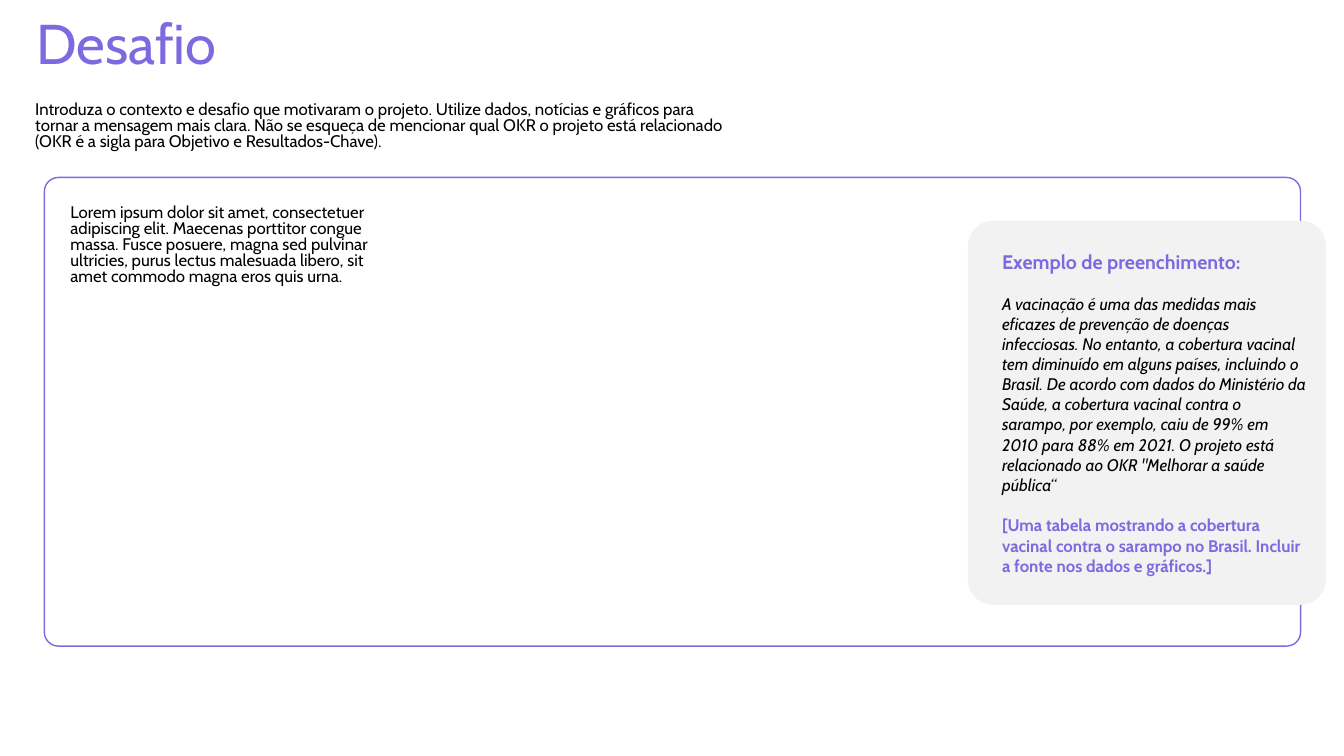
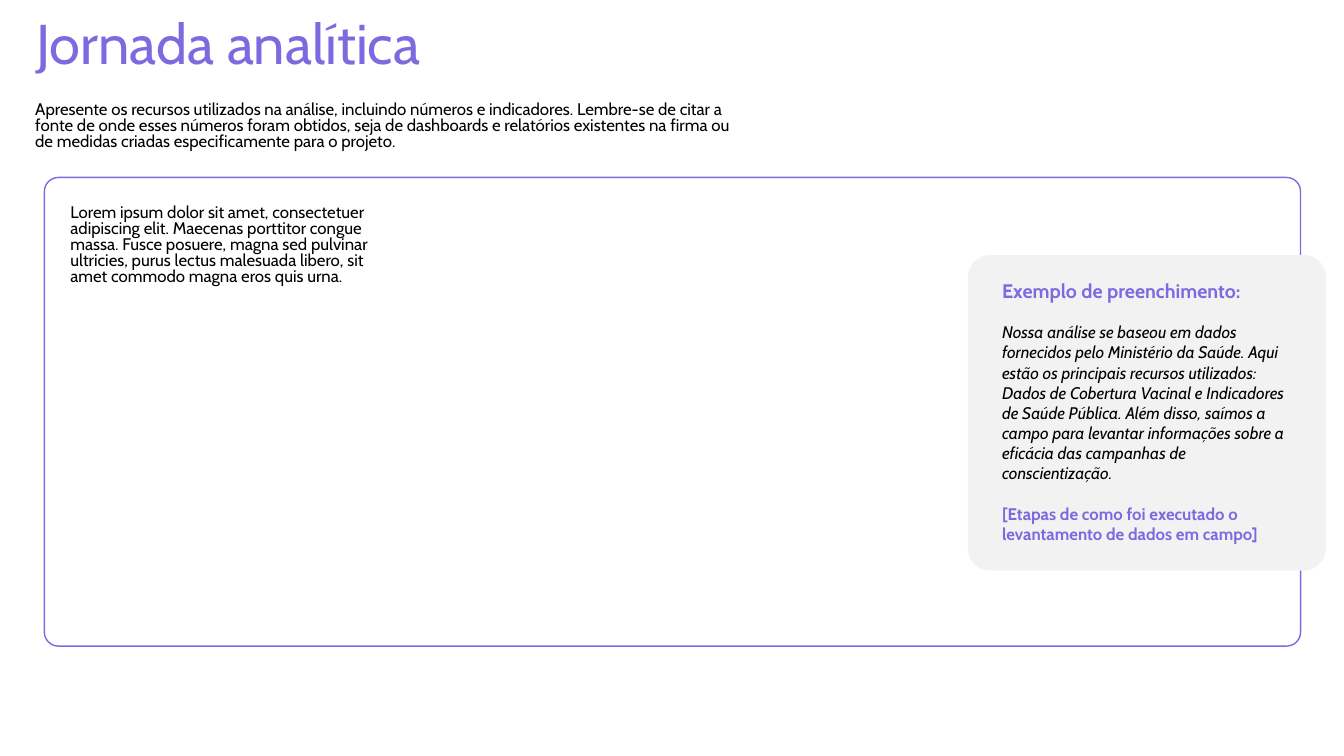
from dataclasses import dataclass

from pptx import Presentation
from pptx.dml.color import RGBColor
from pptx.enum.shapes import MSO_SHAPE
from pptx.enum.text import MSO_ANCHOR, MSO_AUTO_SIZE, PP_ALIGN
from pptx.util import Inches, Pt

SLIDE_WIDTH = Inches(13.33)
SLIDE_HEIGHT = Inches(7.5)
PURPLE = RGBColor(0x7E, 0x69, 0xE0)
BLACK = RGBColor(0x00, 0x00, 0x00)
LIGHT_GREY = RGBColor(0xF2, 0xF2, 0xF2)
FONT = "Cabin"
TITLE_ONLY = 5


@dataclass(frozen=True)
class Area:
    """Left, top, width and height in percent of the slide."""
    left: float
    top: float
    width: float
    height: float

    def box(self) -> tuple[int, int, int, int]:
        return (int(SLIDE_WIDTH * self.left / 100), int(SLIDE_HEIGHT * self.top / 100),
                int(SLIDE_WIDTH * self.width / 100), int(SLIDE_HEIGHT * self.height / 100))


@dataclass(frozen=True)
class Style:
    size: float
    color: RGBColor = BLACK
    bold: bool = False
    italic: bool = False
    line_spacing: float = 1.0
    space_before: float = 0
    space_after: float = 0


@dataclass(frozen=True)
class Section:
    title: str
    guidance: str
    example: str
    evidence: str
    card_height: float
    example_width: float


TITLE_AREA = Area(1.95, 2.93, 53.56, 8.13)
GUIDANCE_AREA = Area(1.88, 12.93, 53.94, 7.87)
FRAME_AREA = Area(3.3, 23.47, 93.47, 62)
DRAFT_AREA = Area(4.5, 26.53, 25.66, 12.13)

CARD_LEFT, CARD_WIDTH, CARD_MIDDLE = 72.02, 26.63, 54.6
CARD_TEXT_LEFT = 73.82
HEADING_WIDTH, HEADING_HEIGHT = 23.26, 3.73
HEADING_DROP_SHARE = 0.08
EXAMPLE_DROP = 4.87
CARD_BOTTOM_MARGIN = 2.8

TITLE_STYLE = Style(40, PURPLE, line_spacing=0.7)
GUIDANCE_STYLE = Style(12, line_spacing=0.8)
DRAFT_STYLE = Style(12, line_spacing=0.8, space_after=12)
HEADING_STYLE = Style(14, PURPLE, bold=True, line_spacing=0.7)
EXAMPLE_STYLE = Style(12, italic=True)
EVIDENCE_STYLE = Style(12, PURPLE, bold=True, space_before=14.5)

DRAFT = (
    "Lorem ipsum dolor sit amet, consectetuer adipiscing elit. Maecenas porttitor congue massa. "
    "Fusce posuere, magna sed pulvinar ultricies, purus lectus malesuada libero, sit amet commodo "
    "magna eros quis urna."
)
CARD_HEADING = "Exemplo de preenchimento:"

SECTIONS = (
    Section(
        title="Desafio",
        guidance=(
            "Introduza o contexto e desafio que motivaram o projeto. Utilize dados, notícias e "
            "gráficos para tornar a mensagem mais clara. Não se esqueça de mencionar qual OKR o "
            "projeto está relacionado (OKR é a sigla para Objetivo e Resultados-Chave)."
        ),
        example=(
            "A vacinação é uma das medidas mais eficazes de prevenção de doenças infecciosas. "
            "No entanto, a cobertura vacinal tem diminuído em alguns países, incluindo o Brasil. "
            "De acordo com dados do Ministério da Saúde, a cobertura vacinal contra o sarampo, "
            "por exemplo, caiu de 99% em 2010 para 88% em 2021. O projeto está relacionado ao "
            'OKR "Melhorar a saúde pública“'
        ),
        evidence=(
            "[Uma tabela mostrando a cobertura vacinal contra o sarampo no Brasil. "
            "Incluir a fonte nos dados e gráficos.]"
        ),
        card_height=50.8,
        example_width=24.31,
    ),
    Section(
        title="Jornada analítica",
        guidance=(
            "Apresente os recursos utilizados na análise, incluindo números e indicadores. "
            "Lembre-se de citar a fonte de onde esses números foram obtidos, seja de dashboards "
            "e relatórios existentes na firma ou de medidas criadas especificamente para o projeto."
        ),
        example=(
            "Nossa análise se baseou em dados fornecidos pelo Ministério da Saúde. Aqui estão os "
            "principais recursos utilizados: Dados de Cobertura Vacinal e Indicadores de Saúde "
            "Pública. Além disso, saímos a campo para levantar informações sobre a eficácia das "
            "campanhas de conscientização."
        ),
        evidence="[Etapas de como foi executado o levantamento de dados em campo]",
        card_height=41.73,
        example_width=23.26,
    ),
)


def write(frame, *paragraphs: tuple[str, Style]) -> None:
    frame.word_wrap = True
    frame.auto_size = MSO_AUTO_SIZE.SHAPE_TO_FIT_TEXT
    frame.vertical_anchor = MSO_ANCHOR.TOP
    for index, (text, style) in enumerate(paragraphs):
        paragraph = frame.add_paragraph() if index else frame.paragraphs[0]
        paragraph.alignment = PP_ALIGN.LEFT
        paragraph.line_spacing = style.line_spacing
        paragraph.space_after = Pt(style.space_after)
        if index:
            paragraph.space_before = Pt(style.space_before)
        run = paragraph.add_run()
        run.text = text
        run.font.name = FONT
        run.font.size = Pt(style.size)
        run.font.bold = style.bold
        run.font.italic = style.italic
        run.font.color.rgb = style.color


def add_text(shapes, area: Area, *paragraphs: tuple[str, Style]) -> None:
    write(shapes.add_textbox(*area.box()).text_frame, *paragraphs)


def add_rounded(shapes, area: Area, corner: float,
                fill: RGBColor | None = None, line: RGBColor | None = None) -> None:
    panel = shapes.add_shape(MSO_SHAPE.ROUNDED_RECTANGLE, *area.box())
    panel.adjustments[0] = corner
    panel.shadow.inherit = False
    if fill is None:
        panel.fill.background()
    else:
        panel.fill.solid()
        panel.fill.fore_color.rgb = fill
    if line is None:
        panel.line.fill.background()
    else:
        panel.line.color.rgb = line
        panel.line.width = Pt(1)


def add_title(slide, text: str) -> None:
    title = slide.shapes.title
    title.left, title.top, title.width, title.height = TITLE_AREA.box()
    write(title.text_frame, (text, TITLE_STYLE))


def add_example_card(slide, section: Section) -> None:
    card = slide.shapes.add_group_shape().shapes
    card_top = CARD_MIDDLE - section.card_height / 2
    heading_top = card_top + section.card_height * HEADING_DROP_SHARE
    example_top = heading_top + EXAMPLE_DROP
    example_height = card_top + section.card_height - CARD_BOTTOM_MARGIN - example_top
    add_rounded(card, Area(CARD_LEFT, card_top, CARD_WIDTH, section.card_height),
                0.07, fill=LIGHT_GREY)
    add_text(card, Area(CARD_TEXT_LEFT, example_top, section.example_width, example_height),
             (section.example, EXAMPLE_STYLE), (section.evidence, EVIDENCE_STYLE))
    add_text(card, Area(CARD_TEXT_LEFT, heading_top, HEADING_WIDTH, HEADING_HEIGHT),
             (CARD_HEADING, HEADING_STYLE))


def add_section(presentation, section: Section) -> None:
    slide = presentation.slides.add_slide(presentation.slide_layouts[TITLE_ONLY])
    add_title(slide, section.title)
    add_text(slide.shapes, GUIDANCE_AREA, (section.guidance, GUIDANCE_STYLE))
    add_rounded(slide.shapes, FRAME_AREA, 0.03, line=PURPLE)
    add_text(slide.shapes, DRAFT_AREA, (DRAFT, DRAFT_STYLE))
    add_example_card(slide, section)


def main() -> None:
    presentation = Presentation()
    presentation.slide_width = SLIDE_WIDTH
    presentation.slide_height = SLIDE_HEIGHT
    for section in SECTIONS:
        add_section(presentation, section)
    presentation.save("out.pptx")


if __name__ == "__main__":
    main()
